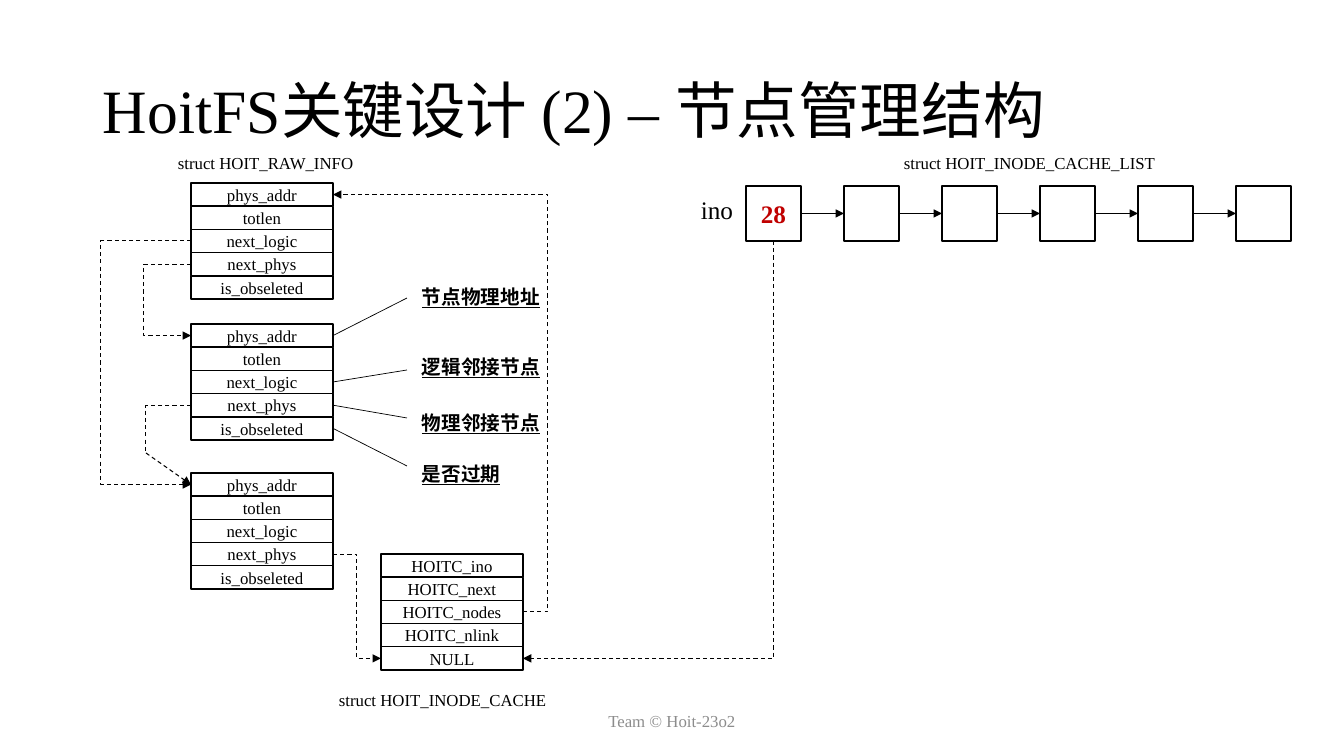
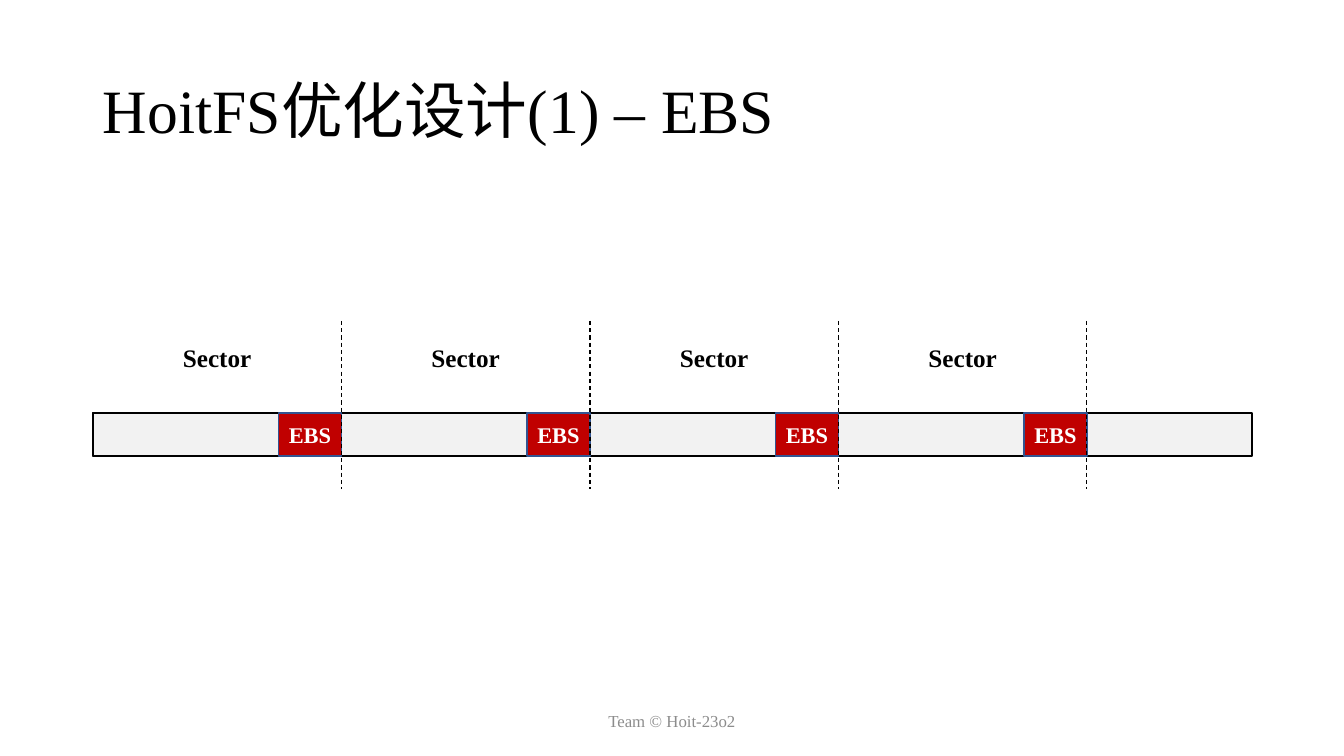
from lxml.etree import SubElement
from pptx import Presentation
from pptx.dml.color import RGBColor
from pptx.enum.dml import MSO_LINE
from pptx.enum.shapes import MSO_CONNECTOR, MSO_SHAPE
from pptx.enum.text import MSO_ANCHOR, PP_ALIGN
from pptx.oxml.ns import qn
from pptx.util import Pt

PX = 914400 / 100.8
FONT = "Times New Roman"
BLACK, WHITE, GREY = "000000", "FFFFFF", "8C8C8C"
RED, PALE, BLUE = "C00000", "F2F2F2", "325491"
TOP, LEFT, BOTTOM, RIGHT = range(4)
RAW_FIELDS = ["phys_addr", "totlen", "next_logic", "next_phys", "is_obseleted"]
CACHE_FIELDS = ["HOITC_ino", "HOITC_next", "HOITC_nodes", "HOITC_nlink", "NULL"]


def emu(*lengths):
    return [round(n * PX) for n in lengths]


def color(hex_string):
    return RGBColor.from_string(hex_string)


def write(tf, text, size, ink=BLACK, bold=False, underline=False, align=PP_ALIGN.LEFT):
    tf.word_wrap = True
    p = tf.paragraphs[0]
    p.text = text
    p.alignment = align
    f = p.font
    f.name, f.size, f.bold, f.underline = FONT, Pt(size), bold, underline
    f.color.rgb = color(ink)
    return p


def label(s, text, box, size, anchor=MSO_ANCHOR.TOP, **style):
    tf = s.shapes.add_textbox(*emu(*box)).text_frame
    tf.vertical_anchor = anchor
    return write(tf, text, size, **style)


def rect(s, box, fill=WHITE, line=BLACK, text="", size=12, **style):
    sp = s.shapes.add_shape(MSO_SHAPE.RECTANGLE, *emu(*box))
    sp.shadow.inherit = False
    sp.fill.solid()
    sp.fill.fore_color.rgb = color(fill)
    sp.line.color.rgb = color(line)
    sp.line.width = Pt(1)
    if text:
        tf = sp.text_frame
        tf.margin_left = tf.margin_right = 0
        tf.vertical_anchor = MSO_ANCHOR.MIDDLE
        write(tf, text, size, align=PP_ALIGN.CENTER, **style)
    return sp


def set_stroke(line, width, dashed, arrow):
    line.color.rgb = color(BLACK)
    line.width = Pt(width)
    if dashed:
        line.dash_style = MSO_LINE.DASH
    if arrow:
        SubElement(line._get_or_add_ln(), qn("a:tailEnd"), type="triangle")


def connect(s, start, end, width=0.5, dashed=False, arrow=False):
    """Straight line between two points, in px."""
    c = s.shapes.add_connector(MSO_CONNECTOR.STRAIGHT, *emu(*start, *end))
    set_stroke(c.line, width, dashed, arrow)
    SubElement(c._element.spPr, qn("a:effectLst"))
    return c


def route(s, *points, arrow=True):
    """Dashed line that bends at each inner point."""
    start, *rest = [emu(*point) for point in points]
    builder = s.shapes.build_freeform(*start, scale=1.0)
    builder.add_line_segments(rest, close=False)
    sp = builder.convert_to_shape()
    sp.shadow.inherit = False
    sp.fill.background()
    set_stroke(sp.line, 0.75, dashed=True, arrow=arrow)


def port(sp, side):
    """Middle of one side of a rectangle, in px."""
    x = sp.left + sp.width * {LEFT: 0, RIGHT: 1}.get(side, 0.5)
    y = sp.top + sp.height * {TOP: 0, BOTTOM: 1}.get(side, 0.5)
    return x / PX, y / PX


def route_via(s, start, turn_x, end):
    """Leave sideways, run vertically at turn_x, arrive sideways."""
    route(s, start, (turn_x, start[1]), (turn_x, end[1]), end)


def base_slide(prs, title):
    s = prs.slides.add_slide(prs.slide_layouts[6])
    p = label(s, title, (93, 41, 1159, 146), 44, MSO_ANCHOR.MIDDLE)
    p.line_spacing = 0.9
    label(s, "Team © Hoit-23o2", (445, 701, 454, 40), 12, MSO_ANCHOR.MIDDLE,
          ink=GREY, align=PP_ALIGN.CENTER)
    return s


def struct(s, x, y, fields, w=142, h=116):
    row_h = h / len(fields)
    return [rect(s, (x, y + i * row_h, w, row_h), text=field)
            for i, field in enumerate(fields)]


def field_notes(s, rows, x):
    notes = [(0, 298, 280, "节点物理地址"), (2, 370, 350, "逻辑邻接节点"),
             (3, 418, 406, "物理邻接节点"), (4, 466, 457, "是否过期")]
    for field, line_y, text_y, text in notes:
        c = connect(s, port(rows[field], RIGHT), (x - 5, line_y))
        c.begin_connect(rows[field], RIGHT)
        label(s, text, (x, text_y, 162, 34), 14, bold=True, underline=True)


def cache_list(s, x, y, count=6, side=55, step=98):
    label(s, "ino", (x - 55, y + 3, 55, 40), 18)
    cells = [rect(s, (x + i * step, y, side, side), text="" if i else "28",
                  size=18, ink=RED, bold=True) for i in range(count)]
    for a, b in zip(cells, cells[1:]):
        c = connect(s, port(a, RIGHT), port(b, LEFT), arrow=True)
        c.begin_connect(a, RIGHT)
        c.end_connect(b, LEFT)
    return cells[0]


def node_slide(prs):
    s = base_slide(prs, "HoitFS关键设计 (2) – 节点管理结构")
    first, second, third = [struct(s, 191, y, RAW_FIELDS) for y in (183, 324, 473)]
    cache = struct(s, 381, 554, CACHE_FIELDS)
    head = cache_list(s, 746, 186)
    field_notes(s, second, 412)
    label(s, "struct HOIT_RAW_INFO", (168, 148, 213, 30), 12)
    label(s, "struct HOIT_INODE_CACHE", (329, 685, 246, 30), 12)
    label(s, "struct HOIT_INODE_CACHE_LIST", (894, 148, 291, 30), 12)

    third_in = port(third[0], LEFT)
    route_via(s, port(first[2], LEFT), 101, third_in)
    route_via(s, port(first[3], LEFT), 144, port(second[0], LEFT))
    leave, bend = port(second[3], LEFT), (146, 453)
    route(s, leave, (bend[0], leave[1]), bend, arrow=False)
    last_leg = connect(s, bend, third_in, 0.75, dashed=True, arrow=True)
    last_leg.end_connect(third[0], LEFT)
    route_via(s, port(third[3], RIGHT), 357, port(cache[4], LEFT))
    route_via(s, port(cache[2], RIGHT), 548, port(first[0], RIGHT))
    below, null = port(head, BOTTOM), port(cache[4], RIGHT)
    route(s, below, (below[0], null[1]), null)


def sector_bar(s, x, y, w, h, sectors_w=994, count=4, ebs_w=63):
    step = sectors_w / count
    starts = [x + i * step for i in range(count)]
    rect(s, (x, y, w, h), PALE)
    for left in starts:
        rect(s, (left, y, step, h), PALE)
    for left in starts:
        end = left + step
        rect(s, (end - ebs_w, y, ebs_w, h), RED, BLUE, "EBS", 16, ink=WHITE, bold=True)
        connect(s, (end, y - 92), (end, y + 76), 0.75, dashed=True)
        label(s, "Sector", (left, y - 76, step, 40), 18, bold=True, align=PP_ALIGN.CENTER)


def ebs_slide(prs):
    s = base_slide(prs, "HoitFS优化设计(1) – EBS")
    sector_bar(s, 93, 413, 1159, 43)


def main():
    prs = Presentation()
    prs.slide_width, prs.slide_height = emu(1344, 756)
    node_slide(prs)
    ebs_slide(prs)
    prs.save("out.pptx")


if __name__ == "__main__":
    main()
